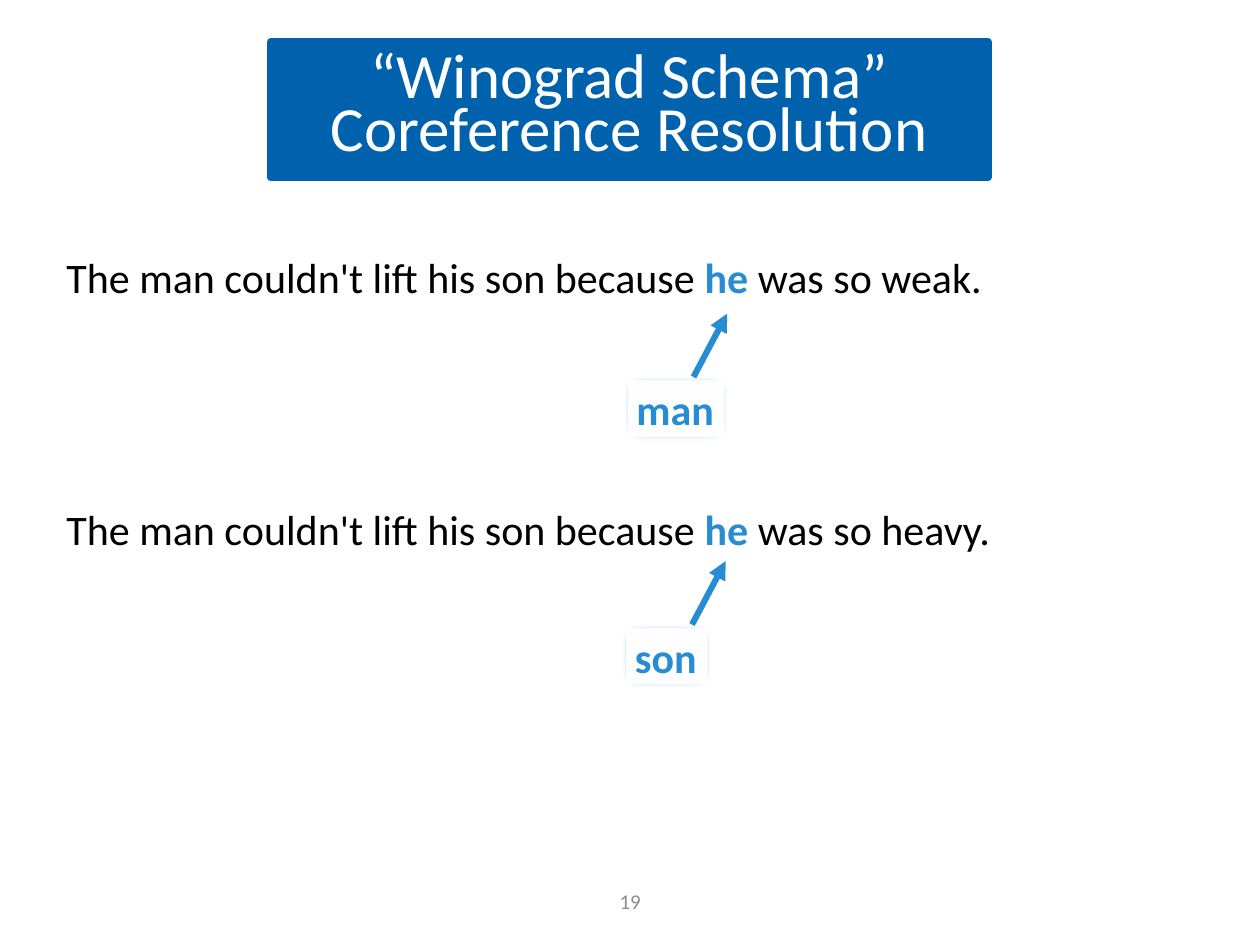
from lxml.etree import SubElement as Sub
from pptx import Presentation
from pptx.dml.color import RGBColor as RGB
from pptx.enum.shapes import MSO_CONNECTOR as Link, MSO_SHAPE as Shape
from pptx.enum.text import MSO_ANCHOR as Anchor, PP_ALIGN as Align
from pptx.oxml.ns import qn
from pptx.util import Cm, Pt

NAVY = RGB(0x00, 0x62, 0xAC)
BLUE = RGB(0x28, 0x8C, 0xD2)
GRAY = RGB(0x8C, 0x8C, 0x8C)
BLACK = RGB(0, 0, 0)
WHITE = RGB(255, 255, 255)


def style(para, size, color, bold=False, align=Align.LEFT):
    para.alignment = align
    font = para.font
    font.name, font.size, font.bold = "Calibri", Pt(size), bold
    font.color.rgb = color


def add_box(slide, left, top, width, height, fill, edge):
    box = slide.shapes.add_shape(
        Shape.RECTANGLE, Cm(left), Cm(top), Cm(width), Cm(height))
    box.shadow.inherit = False
    box.fill.solid()
    box.fill.fore_color.rgb = fill
    box.line.color.rgb = edge
    box.line.width = Pt(4.5)
    box.text_frame.vertical_anchor = Anchor.MIDDLE
    return box


def add_text(slide, left, top, width, height):
    frame = slide.shapes.add_textbox(
        Cm(left), Cm(top), Cm(width), Cm(height)).text_frame
    frame.word_wrap = True
    return frame


def add_title(slide, text):
    frame = add_box(slide, 5.46, 0.84, 14.45, 2.74, NAVY, NAVY).text_frame
    frame.word_wrap = True
    frame.margin_top = frame.margin_bottom = Cm(0.25)
    para = frame.paragraphs[0]
    para.text = text
    para.line_spacing = 0.7
    style(para, 36, WHITE, align=Align.CENTER)


def add_line(para, start, word, end):
    style(para, 24, BLACK)
    para.add_run().text = start
    mark = para.add_run()
    mark.text = word
    mark.font.bold = True
    mark.font.color.rgb = BLUE
    para.add_run().text = end


def add_label(slide, text, left, top, width):
    # Arrow up to the pronoun
    arrow = slide.shapes.add_connector(
        Link.STRAIGHT, Cm(left + 1.4), Cm(top), Cm(left + 2.08), Cm(top - 1.28))
    arrow.line.color.rgb = BLUE
    arrow.line.width = Pt(3.5)
    Sub(arrow.line._get_or_add_ln(), qn("a:tailEnd"), type="triangle")
    props = arrow._element.spPr
    Sub(props, qn("a:effectLst"))

    # Box with a soft edge
    box = add_box(slide, left, top, width, 1.28, WHITE, BLUE)
    effects = box._element.spPr.find(qn("a:effectLst"))
    Sub(effects, qn("a:softEdge"), rad=str(Pt(5)))
    frame = box.text_frame
    frame.word_wrap = False
    para = frame.paragraphs[0]
    para.text = text
    style(para, 24, BLUE, bold=True)


def main():
    deck = Presentation()
    deck.slide_width, deck.slide_height = Cm(25.4), Cm(19.05)
    slide = deck.slides.add_slide(deck.slide_layouts[6])

    # Page number
    frame = add_text(slide, 8.68, 17.65, 8.05, 1.02)
    frame.vertical_anchor = Anchor.MIDDLE
    frame.text = "19"
    style(frame.paragraphs[0], 12, GRAY, align=Align.CENTER)

    add_title(slide, "“Winograd Schema” Coreference Resolution")

    # Sentence pair
    frame = add_text(slide, 1.09, 4.95, 21.06, 8.13)
    first, second = frame.paragraphs[0], frame.add_paragraph()
    second.space_before = Pt(115)
    for para, cause in ((first, "weak"), (second, "heavy")):
        add_line(para, "The man couldn't lift his son because ", "he ",
                 f"was so {cause}.")

    # Who the pronoun stands for
    add_label(slide, "man", 12.58, 7.6, 2.08)
    add_label(slide, "son", 12.55, 12.59, 1.78)

    deck.save("out.pptx")


if __name__ == "__main__":
    main()
